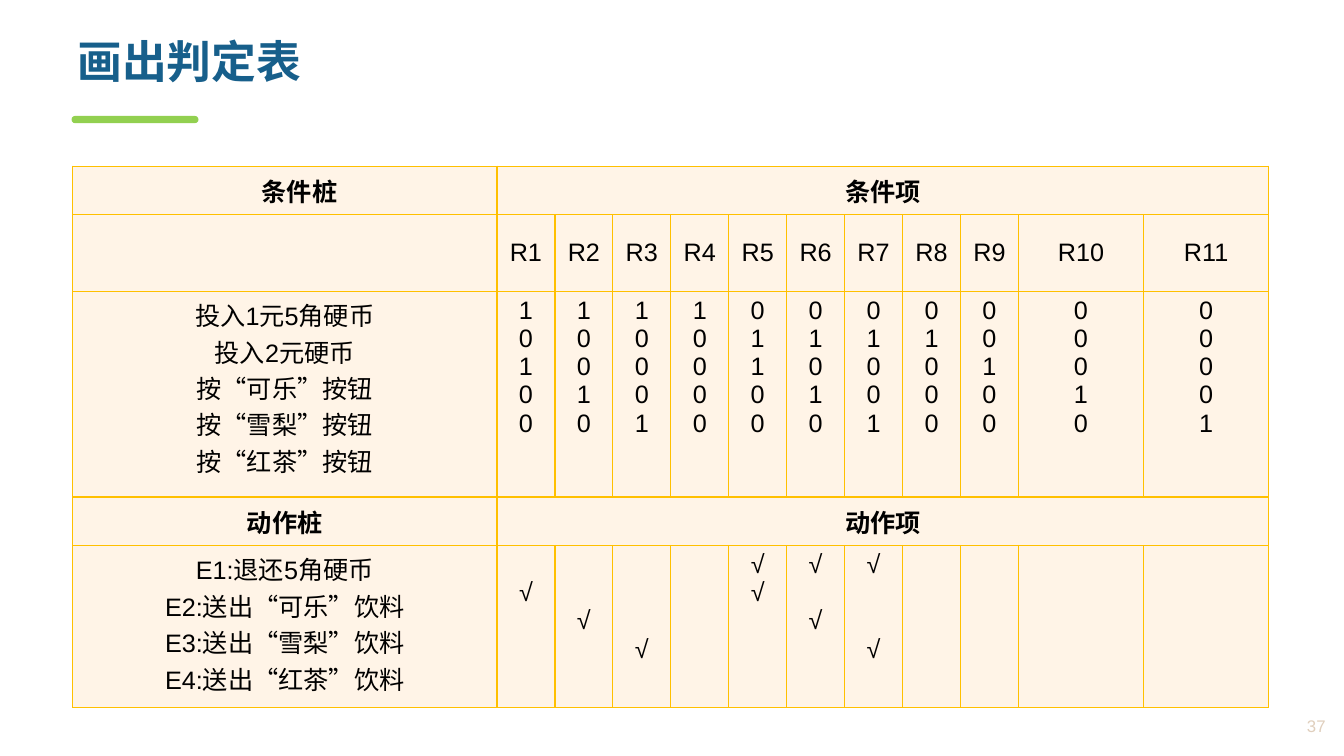
from lxml.etree import SubElement
from pptx import Presentation
from pptx.dml.color import RGBColor
from pptx.enum.shapes import MSO_SHAPE as SHAPE
from pptx.enum.text import MSO_ANCHOR as ANCHOR, PP_ALIGN as ALIGN
from pptx.oxml.ns import qn
from pptx.util import Pt

BLUE = RGBColor(0x17, 0x5F, 0x8B)
GREEN = RGBColor(0x92, 0xD0, 0x50)
GOLD = RGBColor(0xFF, 0xC0, 0x00)
CREAM = RGBColor(0xFF, 0xF4, 0xE7)
TAN = RGBColor(0xE0, 0xCF, 0xBD)
BLACK = RGBColor(0, 0, 0)
LATIN, HAN = "Arial", "Noto Sans CJK SC"

LINE = 20.2  # height of one line of 18 pt text
COLS = [303.2] + [41.4] * 9 + [89.4] * 2
ROWS = [34.6, 54.7, 146.9, 34.6, 115.9]

CONDITIONS = ["投入1元5角硬币", "投入2元硬币",
              "按“可乐”按钮", "按“雪梨”按钮", "按“红茶”按钮"]
ACTIONS = ["E1:退还5角硬币", "E2:送出“可乐”饮料",
           "E3:送出“雪梨”饮料", "E4:送出“红茶”饮料"]
# One entry per rule: condition values, then the actions that are ticked
RULES = [("10100", [2]), ("10010", [3]), ("10001", [4]), ("10000", []),
         ("01100", [1, 2]), ("01010", [1, 3]), ("01001", [1, 4]),
         ("01000", []), ("00100", []), ("00010", []), ("00001", [])]


def style(p, size, color, bold=False, align=ALIGN.CENTER, font=LATIN):
    p.alignment = align
    f = p.font
    f.size, f.bold, f.name = Pt(size), bold, font
    f.color.rgb = color
    def_rpr = p._p.pPr.find(qn("a:defRPr"))
    SubElement(def_rpr, qn("a:ea")).set("typeface", HAN)


def add_text(slide, box, text, anchor, *args, **kwargs):
    tf = slide.shapes.add_textbox(*map(Pt, box)).text_frame
    tf.word_wrap = True
    tf.vertical_anchor = anchor
    p = tf.paragraphs[0]
    p.text = text
    style(p, *args, **kwargs)
    return p


def add_bar(slide, box):
    sp = slide.shapes.add_shape(SHAPE.ROUND_2_SAME_RECTANGLE, *map(Pt, box))
    sp.adjustments[0] = sp.adjustments[1] = 0.5
    sp.shadow.inherit = False
    sp.fill.solid()
    sp.fill.fore_color.rgb = GREEN
    sp.line.fill.background()


def format_cell(cell):
    tc_pr = cell._tc.get_or_add_tcPr()
    for side in ("lnL", "lnR", "lnT", "lnB"):
        ln = SubElement(tc_pr, qn(f"a:{side}"), w=str(Pt(1)))
        fill = SubElement(ln, qn("a:solidFill"))
        SubElement(fill, qn("a:srgbClr"), val=str(GOLD))
    cell.fill.solid()
    cell.fill.fore_color.rgb = CREAM


def fill_cell(cell, lines, bold=False, anchor=ANCHOR.TOP):
    cell.vertical_anchor = anchor
    cell.text = "\n".join(lines)
    for p in cell.text_frame.paragraphs:
        style(p, 18, BLACK, bold)


def fill_ticks(cell, actions):
    """Put each tick on the line of its action."""
    if not actions:
        return
    fill_cell(cell, ["√"] * len(actions))
    cell.margin_top = Pt(3.6 + (actions[0] - 1) * LINE)
    paragraphs = cell.text_frame.paragraphs
    for p, prev, action in zip(paragraphs[1:], actions, actions[1:]):
        p.space_before = Pt((action - prev - 1) * LINE)


def add_decision_table(slide, left, top):
    frame = slide.shapes.add_table(len(ROWS), len(COLS), Pt(left), Pt(top),
                                   Pt(sum(COLS)), Pt(sum(ROWS)))
    table = frame.table
    table.first_row = table.horz_banding = False
    for col, width in zip(table.columns, COLS):
        col.width = Pt(width)
    for row, height in zip(table.rows, ROWS):
        row.height = Pt(height)
    for cell in table.iter_cells():
        format_cell(cell)

    # Section headings
    for row, stub, entry in ((0, "条件桩", "条件项"), (3, "动作桩", "动作项")):
        table.cell(row, 1).merge(table.cell(row, len(COLS) - 1))
        fill_cell(table.cell(row, 0), [stub], True, ANCHOR.MIDDLE)
        fill_cell(table.cell(row, 1), [entry], True, ANCHOR.MIDDLE)
    heading = table.cell(0, 0).text_frame.paragraphs[0]
    heading._p.pPr.set("indent", str(Pt(21)))

    # Conditions, actions and rules
    fill_cell(table.cell(2, 0), CONDITIONS)
    fill_cell(table.cell(4, 0), ACTIONS)
    for n, (values, actions) in enumerate(RULES, 1):
        fill_cell(table.cell(1, n), [f"R{n}"], anchor=ANCHOR.MIDDLE)
        fill_cell(table.cell(2, n), values)
        fill_ticks(table.cell(4, n), actions)


def main():
    prs = Presentation()
    prs.slide_width, prs.slide_height = Pt(960), Pt(540)
    slide = prs.slides.add_slide(prs.slide_layouts[6])

    # Title with its underline
    add_bar(slide, (51.1, 82.8, 90.7, 5.2))
    title = add_text(slide, (48.2, 25, 883.4, 54), "画出判定表", ANCHOR.TOP,
                     32, BLUE, True, ALIGN.LEFT, HAN)
    title.line_spacing = 0.9

    # Page number
    add_text(slide, (872.6, 504.7, 81.4, 27.4), "37", ANCHOR.MIDDLE,
             12, TAN, align=ALIGN.RIGHT)

    add_decision_table(slide, 51.8, 118.8)
    prs.save("out.pptx")


if __name__ == "__main__":
    main()
